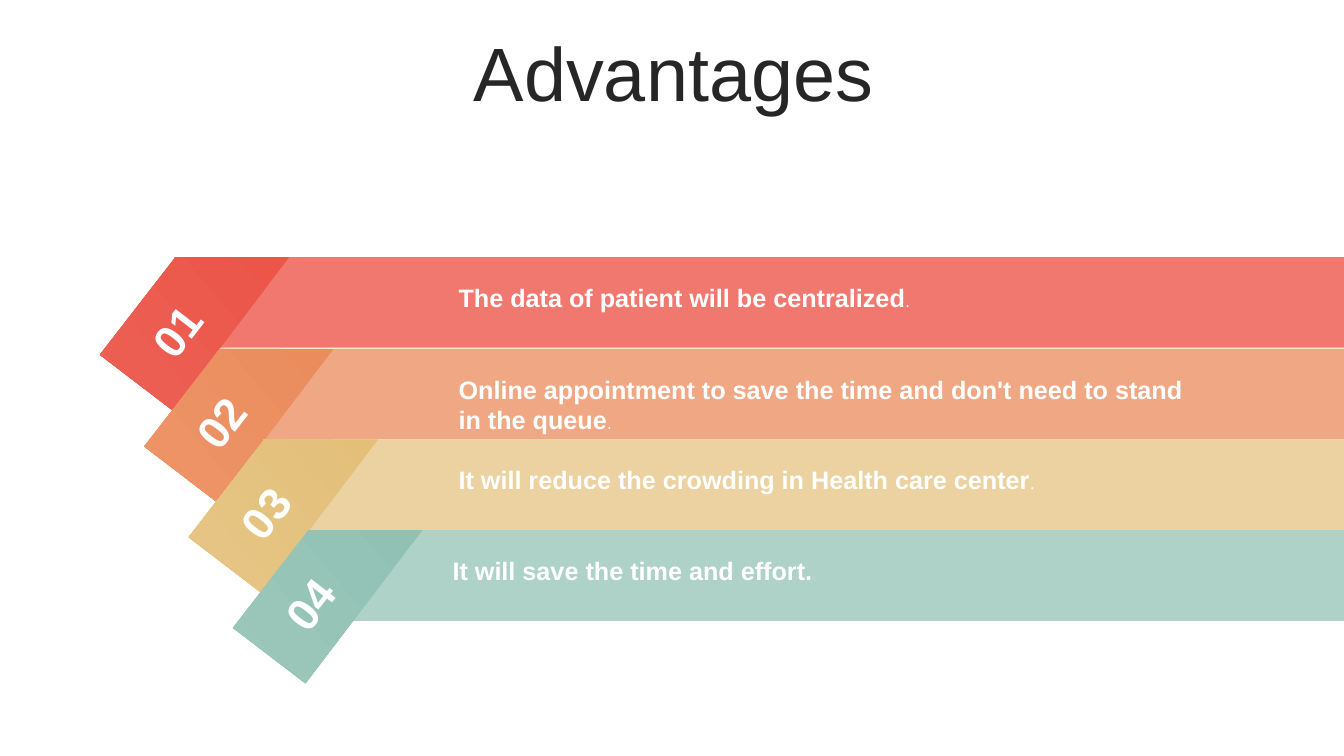
from dataclasses import dataclass

from pptx import Presentation
from pptx.dml.color import RGBColor as RGB
from pptx.enum.shapes import MSO_SHAPE as Shape
from pptx.enum.text import MSO_ANCHOR as Anchor, PP_ALIGN as Align
from pptx.slide import Slide
from pptx.text.text import TextFrame
from pptx.util import Inches, Pt

FONT = "Arial"
WIDE = 13.33
HIGH = 0.9
LEFT = 0.99
STEP = 0.44
WHITE = RGB(0xFF, 0xFF, 0xFF)
DARK = RGB(0x26, 0x26, 0x26)
RED = RGB(0xF0, 0x78, 0x6E)
RED_TOP = RGB(0xEC, 0x55, 0x48)
RED_LOW = RGB(0xED, 0x60, 0x55)
CORAL = RGB(0xF0, 0xA8, 0x84)
CORAL_TOP = RGB(0xEB, 0x8C, 0x5C)
CORAL_LOW = RGB(0xED, 0x95, 0x69)
SAND = RGB(0xEB, 0xD2, 0xA0)
SAND_TOP = RGB(0xE3, 0xBF, 0x79)
SAND_LOW = RGB(0xE6, 0xC6, 0x86)
TEAL = RGB(0xAF, 0xD2, 0xC8)
TEAL_TOP = RGB(0x91, 0xC1, 0xB4)
TEAL_LOW = RGB(0x9B, 0xC7, 0xBA)
FOLD = [(0, 0.97), (0.72, 1.52), (1.88, 0), (0.75, 0)]


@dataclass
class Band:
    top: float
    fill: RGB
    start: RGB
    end: RGB
    text: str
    dot: str = "."
    left: float = 4.45
    high: float = 0.4


BANDS = [
    Band(2.55, RED, RED_TOP, RED_LOW, "The data of patient will be centralized"),
    Band(3.46, CORAL, CORAL_TOP, CORAL_LOW,
         "Online appointment to save the time and don't need to stand in the queue",
         high=0.71),
    Band(4.36, SAND, SAND_TOP, SAND_LOW,
         "It will reduce the crowding in Health care center"),
    Band(5.26, TEAL, TEAL_TOP, TEAL_LOW, "It will save the time and effort.",
         dot="", left=4.39),
]


def add_bar(slide: Slide, band: Band, left: float) -> None:
    bar = slide.shapes.add_shape(Shape.RECTANGLE, Inches(left), Inches(band.top),
                                 Inches(WIDE - left), Inches(HIGH))
    bar.shadow.inherit = False
    bar.fill.solid()
    bar.fill.fore_color.rgb = band.fill
    bar.line.fill.background()


def add_fold(slide: Slide, band: Band, left: float) -> None:
    first, *rest = [(Inches(left + x), Inches(band.top + y)) for x, y in FOLD]
    pen = slide.shapes.build_freeform(*first)
    pen.add_line_segments(rest, close=True)
    fold = pen.convert_to_shape()
    fold.shadow.inherit = False
    fold.fill.gradient()
    fold.fill.gradient_angle = 220
    for stop, tint in zip(fold.fill.gradient_stops, (band.start, band.end)):
        stop.color.rgb = tint
    fold.line.fill.background()


def add_box(slide: Slide, left: float, top: float, width: float, high: float,
            turn: float = 0) -> TextFrame:
    box = slide.shapes.add_textbox(Inches(left), Inches(top), Inches(width), Inches(high))
    box.rotation = turn
    box.text_frame.word_wrap = True
    return box.text_frame


def add_label(frame: TextFrame, text: str, size: int, tint: RGB, bold: bool) -> None:
    para = frame.paragraphs[0]
    para.text = text
    para.alignment = Align.CENTER
    para.font.name = FONT
    para.font.size = Pt(size)
    para.font.bold = bold
    para.font.color.rgb = tint


def add_point(frame: TextFrame, band: Band) -> None:
    para = frame.paragraphs[0]
    para.font.name = FONT
    para.font.color.rgb = WHITE
    for text, size, bold in ((band.text, 18, True), (band.dot, 12, False)):
        if text:
            run = para.add_run()
            run.text = text
            run.font.size = Pt(size)
            run.font.bold = bold


def main() -> None:
    deck = Presentation()
    deck.slide_width = Inches(WIDE)
    deck.slide_height = Inches(7.5)
    slide = deck.slides.add_slide(deck.slide_layouts[6])

    title = add_box(slide, 0.35, 0.37, 12.66, 0.79)
    title.vertical_anchor = Anchor.MIDDLE
    add_label(title, "Advantages", 54, DARK, False)
    title.paragraphs[0].line_spacing = 0.9
    title.paragraphs[0].space_before = Pt(10)

    for i, band in enumerate(BANDS):
        left = LEFT + STEP * i
        add_bar(slide, band, left + 0.74)
        add_fold(slide, band, left)
    for i, band in enumerate(BANDS):
        mark = add_box(slide, LEFT + STEP * i + 0.23, band.top + 0.41, 1.06, 0.64, 307.5)
        add_label(mark, f"{i + 1:02}", 32, WHITE, True)
    for band in BANDS:
        add_point(add_box(slide, band.left, band.top + 0.2, 7.41, band.high), band)

    deck.save("out.pptx")


if __name__ == "__main__":
    main()
